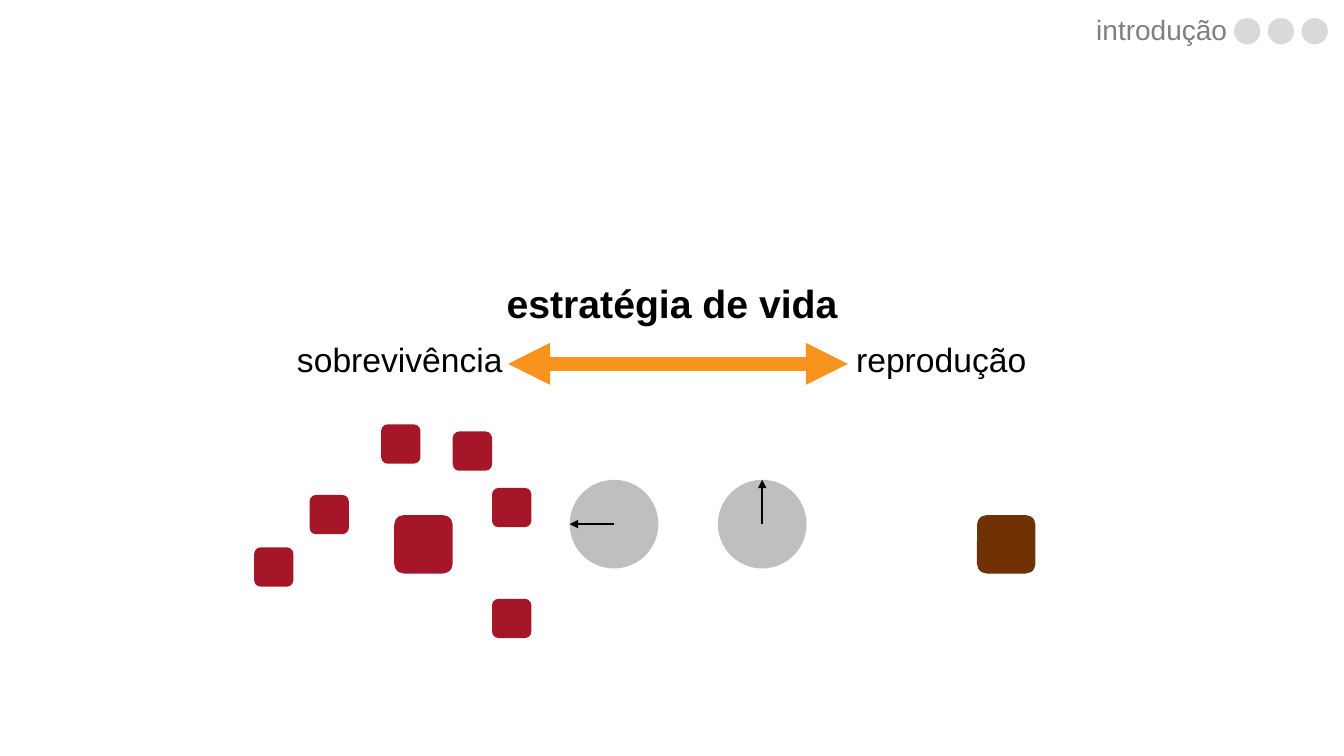
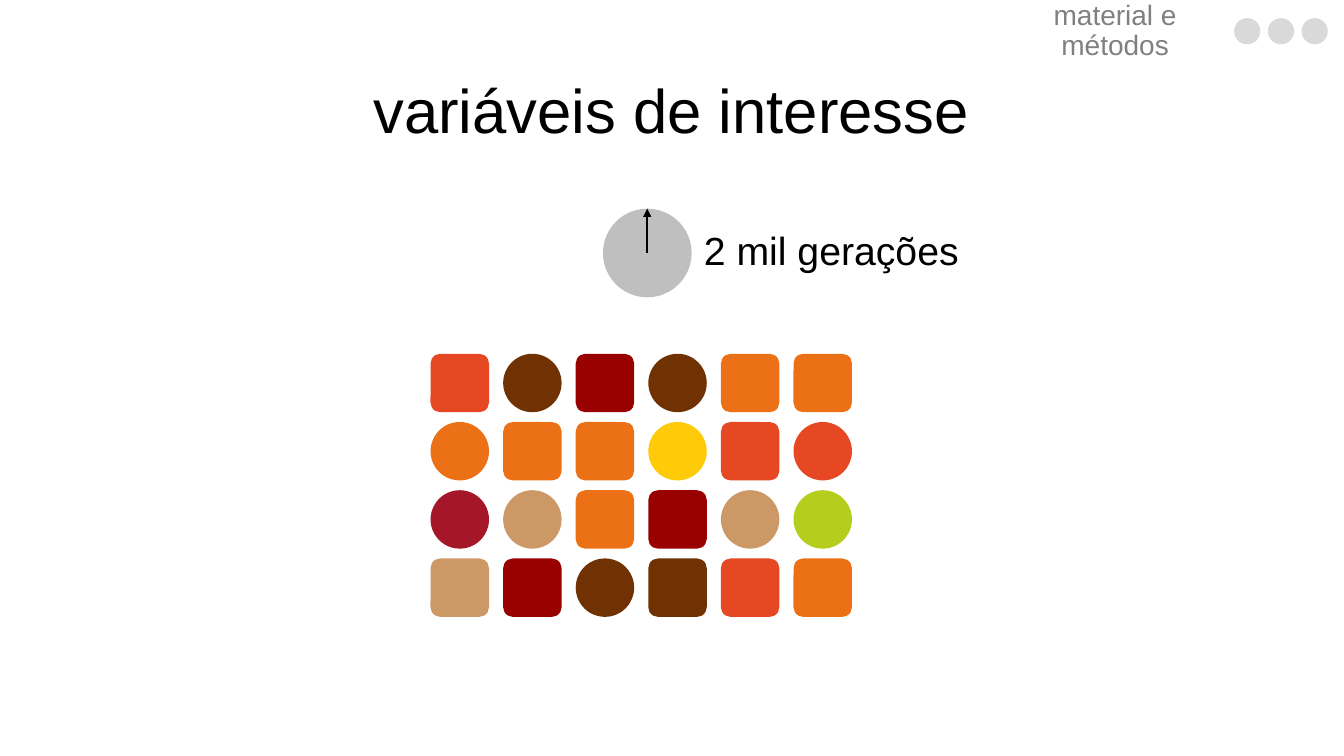
from lxml import etree
from pptx import Presentation
from pptx.dml.color import RGBColor
from pptx.enum.shapes import MSO_CONNECTOR, MSO_SHAPE
from pptx.enum.text import MSO_ANCHOR, PP_ALIGN
from pptx.oxml.ns import qn
from pptx.util import Inches, Pt

CIRCLE = MSO_SHAPE.OVAL
SQUARE = MSO_SHAPE.ROUNDED_RECTANGLE
STRAIGHT = MSO_CONNECTOR.STRAIGHT
MIDDLE = MSO_ANCHOR.MIDDLE
CENTER, RIGHT = PP_ALIGN.CENTER, PP_ALIGN.RIGHT

BLACK, GRAY, DOT_GRAY, DIAL_GRAY = "000000", "808080", "D9D9D9", "BFBFBF"
WINE, BROWN, RED, MAROON = "A51628", "703103", "E64823", "990000"
ORANGE, YELLOW, TAN, LIME = "EC7016", "FFCA08", "CC9966", "B5CE1E"
ARROW_ORANGE = "F8931D"

FONT = "Arial"
HEADER_BOX = (9.85, 0.08, 2.42, 0.47)
TITLE_BOX = (0.56, 0.4, 12.2, 1.45)
TOKEN = 0.58
SMALL_TOKEN = 0.39
DIAL = 0.88
HANDS = {"left": (-DIAL / 2, 0), "up": (0, -DIAL / 2)}


def paint(color_format, color):
    color_format.rgb = RGBColor.from_string(color)


def add_label(page, box, text, size, color=BLACK, align=CENTER, bold=False):
    label = page.shapes.add_textbox(*map(Inches, box))
    frame = label.text_frame
    frame.word_wrap = True
    frame.vertical_anchor = MIDDLE
    para = frame.paragraphs[0]
    para.alignment = align
    para.line_spacing = 0.9
    span = para.add_run()
    span.text = text
    for name, value in {"name": FONT, "size": Pt(size), "bold": bold}.items():
        setattr(span.font, name, value)
    paint(span.font.color, color)


def add_token(page, kind, left, top, size, color):
    token = page.shapes.add_shape(kind, *map(Inches, (left, top, size, size)))
    token.shadow.inherit = False
    token.fill.solid()
    paint(token.fill.fore_color, color)
    token.line.fill.background()


def add_arrow(page, start, end, color, width, ends=("tailEnd",)):
    arrow = page.shapes.add_connector(STRAIGHT, *map(Inches, (*start, *end)))
    paint(arrow.line.color, color)
    arrow.line.width = Pt(width)
    outline = arrow.line._get_or_add_ln()
    for name in ends:
        etree.SubElement(outline, qn(f"a:{name}"), type="triangle")
    etree.SubElement(arrow._element.spPr, qn("a:effectLst"))


def add_dial(page, left, top, hand):
    add_token(page, CIRCLE, left, top, DIAL, DIAL_GRAY)
    center_x, center_y = left + DIAL / 2, top + DIAL / 2
    shift_x, shift_y = HANDS[hand]
    add_arrow(page, (center_x, center_y),
              (center_x + shift_x, center_y + shift_y), BLACK, 1.5)


def add_header(page, section, align):
    add_label(page, HEADER_BOX, section, 20, GRAY, align)
    for index in range(3):
        add_token(page, CIRCLE, 12.24 + index * 0.335, 0.18, 0.26, DOT_GRAY)


def add_tradeoff(page, left, top):
    width, height = 3.77, 1.99
    add_label(page, (left + 2.7, top, width, height), "estratégia de vida", 28, bold=True)
    for offset, text in ((0, "sobrevivência"), (5.37, "reprodução")):
        add_label(page, (left + offset, top + 0.55, width, height), text, 24)
    add_arrow(page, (left + 2.96, top + 1.57), (left + 6.33, top + 1.57),
              ARROW_ORANGE, 10, ("headEnd", "tailEnd"))


def add_offspring(page, left, top):
    add_token(page, SQUARE, left + 1.39, top + 0.9, TOKEN, WINE)
    spots = ((1.26, 0), (0.55, 0.7), (1.97, 0.07), (2.36, 0.63), (2.36, 1.73), (0, 1.22))
    for shift_x, shift_y in spots:
        add_token(page, SQUARE, left + shift_x, top + shift_y, SMALL_TOKEN, WINE)


def add_population(page, left, top, width, height):
    rows = (
        ((SQUARE, RED), (CIRCLE, BROWN), (SQUARE, MAROON),
         (CIRCLE, BROWN), (SQUARE, ORANGE), (SQUARE, ORANGE)),
        ((CIRCLE, ORANGE), (SQUARE, ORANGE), (SQUARE, ORANGE),
         (CIRCLE, YELLOW), (SQUARE, RED), (CIRCLE, RED)),
        ((CIRCLE, WINE), (CIRCLE, TAN), (SQUARE, ORANGE),
         (SQUARE, MAROON), (CIRCLE, TAN), (CIRCLE, LIME)),
        ((SQUARE, TAN), (SQUARE, MAROON), (CIRCLE, BROWN),
         (SQUARE, BROWN), (SQUARE, RED), (SQUARE, ORANGE)),
    )
    step_x = (width - TOKEN) / (len(rows[0]) - 1)
    step_y = (height - TOKEN) / (len(rows) - 1)
    for row_index, row in enumerate(rows):
        for column_index, (kind, color) in enumerate(row):
            add_token(page, kind, left + column_index * step_x,
                      top + row_index * step_y, TOKEN, color)


def build_strategy(page):
    add_header(page, "introdução", RIGHT)
    add_tradeoff(page, 2.08, 2.04)
    add_offspring(page, 2.52, 4.21)
    add_dial(page, 5.65, 4.76, "left")
    add_dial(page, 7.12, 4.76, "up")
    add_token(page, SQUARE, 9.69, 5.11, TOKEN, BROWN)


def build_variables(page):
    add_label(page, TITLE_BOX, "variáveis de interesse", 44)
    add_header(page, "material e métodos", CENTER)
    add_population(page, 4.27, 3.51, 4.18, 2.61)
    add_dial(page, 5.98, 2.07, "up")
    add_label(page, (6.86, 1.78, 2.77, 1.45), "2 mil gerações", 28)


def main():
    deck = Presentation()
    deck.slide_width, deck.slide_height = Inches(13.33), Inches(7.5)
    for build in (build_strategy, build_variables):
        build(deck.slides.add_slide(deck.slide_layouts[6]))
    deck.save("out.pptx")


if __name__ == "__main__":
    main()
